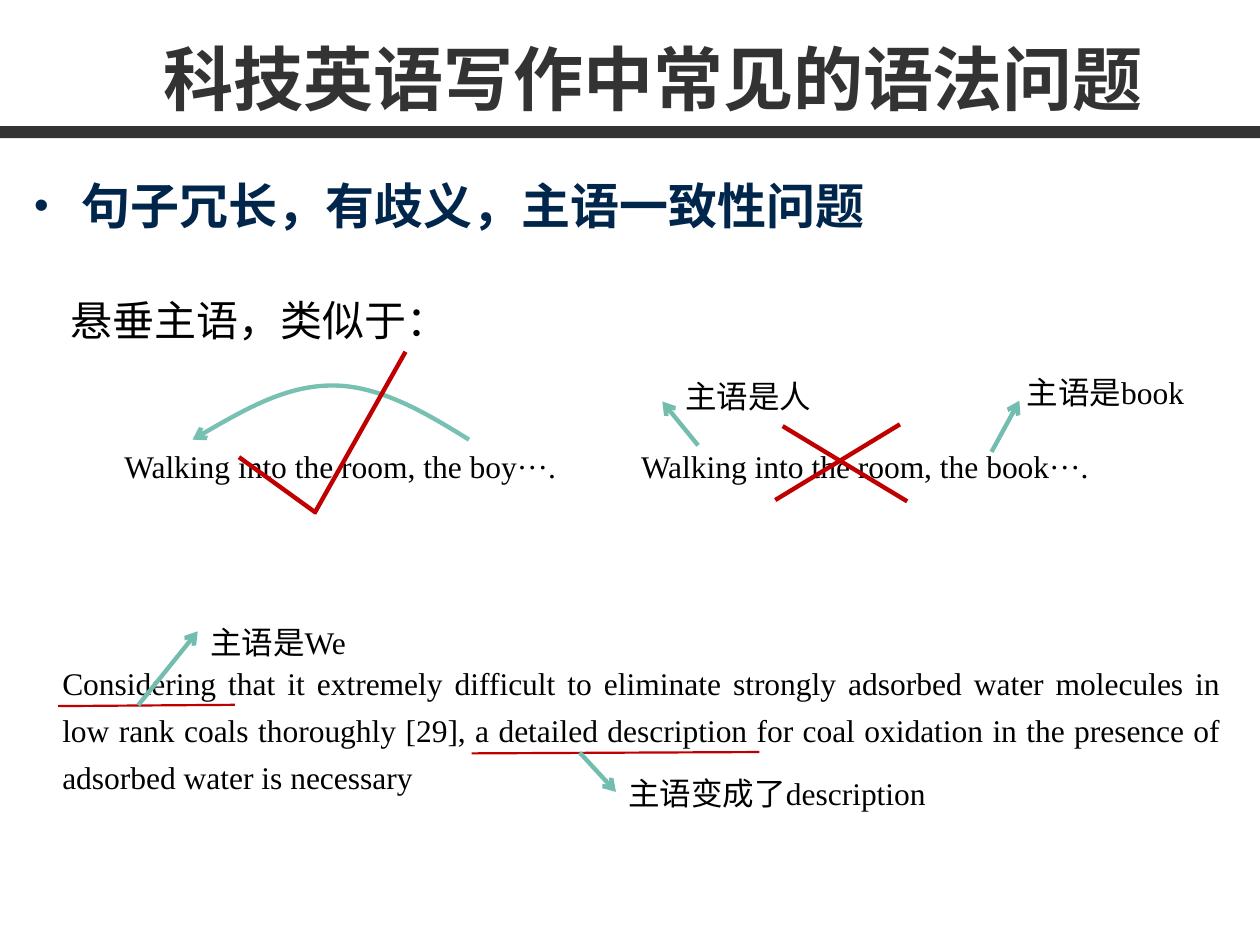
from lxml.etree import SubElement
from pptx import Presentation
from pptx.dml.color import RGBColor
from pptx.enum.shapes import MSO_CONNECTOR as Connector, MSO_SHAPE as Preset
from pptx.enum.text import MSO_ANCHOR as Anchor, MSO_AUTO_SIZE as AutoSize, PP_ALIGN as Align
from pptx.oxml.ns import qn
from pptx.util import Pt

LATIN, CJK = "Times New Roman", "Noto Sans CJK SC"
BLACK, GREY, NAVY, RED, TEAL = "000000", "333333", "00264C", "C00000", "73BDAF"
ARC_TEAL = "78C0B2"


def colour(hex_text):
    return RGBColor.from_string(hex_text)


def place(shape, left, top, width, height):
    shape.left, shape.top = Pt(left), Pt(top)
    shape.width, shape.height = Pt(width), Pt(height)


def add_run(paragraph, words, size, ink, font=LATIN, bold=False):
    run = paragraph.add_run()
    run.text = words
    run.font.size, run.font.name, run.font.bold = Pt(size), font, bold
    run.font.color.rgb = colour(ink)
    east_asian = SubElement(run.font._element, qn("a:ea"))
    east_asian.set("typeface", CJK)


def add_note(slide, words, left, top, width, height=35, size=18, spacing=1.3):
    note = slide.shapes.add_textbox(Pt(left), Pt(top), Pt(width), Pt(height))
    note.text_frame.word_wrap = True
    paragraph = note.text_frame.paragraphs[0]
    paragraph.alignment, paragraph.line_spacing = Align.JUSTIFY, spacing
    add_run(paragraph, words, size, BLACK)


def style_stroke(stroke, ink, weight, arrow):
    stroke.line.color.rgb = colour(ink)
    stroke.line.width = Pt(weight)
    if arrow:
        SubElement(stroke.line._get_or_add_ln(), qn("a:tailEnd")).set("type", "arrow")


def add_stroke(slide, start, end, ink, weight=2.5, arrow=False):
    stroke = slide.shapes.add_connector(
        Connector.STRAIGHT, *(Pt(value) for value in (*start, *end)))
    style_stroke(stroke, ink, weight, arrow)
    SubElement(stroke._element.spPr, qn("a:effectLst"))


def add_curve(slide, start, controls, ink):
    """Draw cubic segments; every three points make one segment."""
    builder = slide.shapes.build_freeform(Pt(start[0]), Pt(start[1]))
    builder.add_line_segments([(Pt(x), Pt(y)) for x, y in controls], close=False)
    curve = builder.convert_to_shape()
    curve.shadow.inherit = False
    curve.fill.background()
    style_stroke(curve, ink, 2.5, arrow=True)
    # Merge the straight segments into Bezier segments
    outline = next(curve._element.iter(qn("a:path")))
    steps = outline.findall(qn("a:lnTo"))
    for first in range(0, len(steps), 3):
        bezier = SubElement(outline, qn("a:cubicBezTo"))
        for step in steps[first:first + 3]:
            bezier.append(step[0])
            outline.remove(step)


def fill_title(slide):
    title = slide.shapes.title
    place(title, 86.4, 12.25, 612, 59.75)
    frame = title.text_frame
    frame.auto_size, frame.vertical_anchor = AutoSize.NONE, Anchor.BOTTOM
    heading = frame.paragraphs[0]
    heading.alignment = Align.LEFT
    add_run(heading, "科技英语写作中常见的语法问题", 40, GREY, CJK, bold=True)


def fill_topic(slide):
    body = slide.placeholders[1]
    place(body, 12.25, 90, 678, 60)
    body.text_frame.auto_size = AutoSize.NONE
    topic = body.text_frame.paragraphs[0]
    properties = topic._p.get_or_add_pPr()
    properties.set("marL", str(Pt(27)))
    properties.set("indent", str(Pt(-27)))
    bullet_colour = SubElement(properties, qn("a:buClr"))
    SubElement(bullet_colour, qn("a:srgbClr")).set("val", NAVY)
    SubElement(properties, qn("a:buSzPct")).set("val", "85000")
    SubElement(properties, qn("a:buChar")).set("char", "•")
    topic.line_spacing, topic.space_before = 1.2, Pt(0)
    add_run(topic, "句子冗长，有歧义，主语一致性问题", 28, NAVY, CJK, bold=True)


def add_rule(slide):
    rule = slide.shapes.add_shape(Preset.RECTANGLE, 0, Pt(72), Pt(720), Pt(7))
    rule.shadow.inherit = False
    rule.fill.solid()
    rule.fill.fore_color.rgb = colour(GREY)
    rule.line.fill.background()


def main():
    deck = Presentation()
    deck.slide_width, deck.slide_height = Pt(720), Pt(540)
    slide = deck.slides.add_slide(deck.slide_layouts[1])

    # Heading and topic
    add_rule(slide)
    fill_title(slide)
    fill_topic(slide)
    add_note(slide, "悬垂主语，类似于：", 33, 156.25, 623, 45, size=24)

    # Correct example with its tick
    add_note(slide, "Walking into the room, the boy···.", 64, 246.25, 341, spacing=1.25)
    add_curve(slide, (268, 251.25),
              [(242.75, 235.5), (216.75, 220.3), (190, 220.3),
               (164, 220.3), (137, 235.5), (110, 251.25)], ARC_TEAL)
    add_stroke(slide, (136.6, 261.25), (180.5, 293), RED)
    add_stroke(slide, (179.6, 293.5), (231.75, 201), RED)

    # Wrong example with its cross
    add_note(slide, "Walking into the room, the book···.", 359.25, 246.25, 274, spacing=1.25)
    add_note(slide, "主语是人", 384.5, 205.25, 127)
    add_note(slide, "主语是book", 579.6, 203, 127)
    add_stroke(slide, (398.9, 254.5), (378.5, 229.5), TEAL, arrow=True)
    add_stroke(slide, (566.6, 258.25), (582.5, 229), TEAL, arrow=True)
    add_stroke(slide, (447.25, 243.5), (518.4, 286.5), RED)
    add_stroke(slide, (514.25, 242.5), (443, 285.75), RED)

    # Sample sentence with its two subjects
    add_note(slide, "Considering that it extremely difficult to eliminate strongly "
             "adsorbed water molecules in low rank coals thoroughly [29], a detailed "
             "description for coal oxidation in the presence of adsorbed water is "
             "necessary", 28.5, 370.5, 676.5, 88.5, spacing=1.25)
    add_note(slide, "主语是We", 113, 345.75, 127)
    add_note(slide, "主语变成了description", 352, 432.5, 217)
    add_stroke(slide, (33.25, 403.5), (134.25, 402.75), RED, weight=1.25)
    add_stroke(slide, (269.5, 430.5), (434, 429.75), RED, weight=1.25)
    add_stroke(slide, (79, 403), (113, 360.75), TEAL, arrow=True)
    add_stroke(slide, (331.25, 430), (352, 452.5), TEAL, arrow=True)

    deck.save("out.pptx")


if __name__ == "__main__":
    main()
